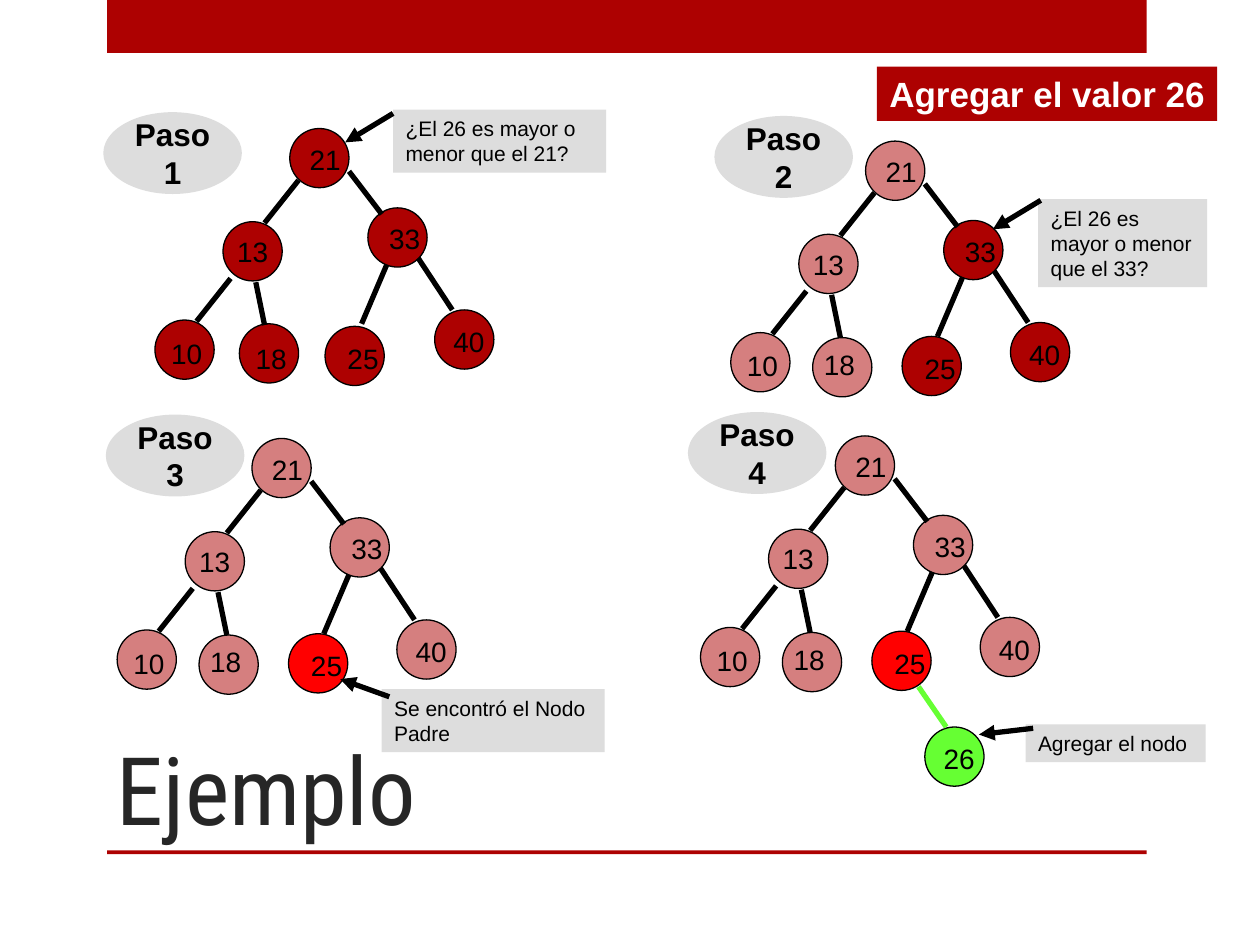
from lxml.etree import SubElement
from pptx import Presentation
from pptx.dml.color import RGBColor
from pptx.enum.shapes import MSO_CONNECTOR, MSO_SHAPE
from pptx.enum.text import MSO_ANCHOR, PP_ALIGN
from pptx.oxml.ns import qn
from pptx.util import Inches, Pt

RED, GRAY, BLACK, WHITE = "AD0101", "DDDDDD", "000000", "FFFFFF"
BRIGHT_RED, GREEN, DARK = "FF0000", "66FF33", "262626"
DIAMETER = 0.47
SOLID, FADED, FOUND, ADDED = (RED, None), (RED, 50), (BRIGHT_RED, None), (GREEN, None)

NODES = {
    "21": (0, 0),
    "13": (-0.53, 0.74),
    "33": (0.62, 0.63),
    "10": (-1.07, 1.52),
    "18": (-0.42, 1.56),
    "25": (0.29, 1.55),
    "40": (1.15, 1.44),
    "26": (0.71, 2.31),
}
LABELS = {
    "21": (0.06, 0.06, 0.47),
    "10": (0.03, 0.08, 0.54),
    "18": (-0.01, 0.03, 0.54),
    "25": (0.08, 0.07, 0.54),
    "40": (0.05, 0.07, 0.47),
    "33": (0.07, 0.06, 0.6),
    "26": (0.05, 0.07, 0.47),
}
EDGES = [
    ((0.07, 0.41), (-0.2, 0.75)),
    ((-0.47, 1.19), (-0.74, 1.53)),
    ((0.47, 0.34), (0.73, 0.68)),
    ((1.02, 1.03), (1.29, 1.44)),
    ((-0.27, 1.22), (-0.2, 1.56)),
    ((0.77, 1.08), (0.57, 1.55)),
]
NEW_EDGE = ((0.66, 1.99), (0.88, 2.31))

STEPS = [
    {
        "number": "1", "root": (2.3, 1.02), "badge": (0.82, 0.89),
        "default": SOLID, "special": {},
        "moved": {"18": (-0.4, 1.55), "25": (0.28, 1.57)},
        "labels": {"18": (0.03, 0.09, 0.54)},
        "note": ("¿El 26 es mayor o menor que el 21?", 3.12, 0.87, 1.69, 0.5),
        "arrow": ((3.12, 0.9), (2.74, 1.13)),
    },
    {
        "number": "2", "root": (6.87, 1.12), "badge": (5.67, 0.92),
        "default": FADED, "special": {"33": SOLID, "25": SOLID, "40": SOLID},
        "note": ("¿El 26 es mayor o menor que el 33?", 8.24, 1.58, 1.34, 0.7),
        "arrow": ((8.26, 1.59), (7.88, 1.82)),
    },
    {
        "number": "3", "root": (2, 3.48), "badge": (0.84, 3.29),
        "default": FADED, "special": {"25": FOUND},
        "note": ("Se encontró el Nodo Padre", 3.03, 5.47, 1.77, 0.5),
        "arrow": ((3.09, 5.53), (2.7, 5.39)),
    },
    {
        "number": "4", "root": (6.63, 3.46), "badge": (5.46, 3.27),
        "default": FADED, "special": {"25": FOUND, "26": ADDED},
        "note": ("Agregar el nodo", 8.14, 5.75, 1.43, 0.3),
        "arrow": ((8.2, 5.78), (7.77, 5.83)),
    },
]


def color(value):
    return RGBColor.from_string(value)


def shift(origin, offset):
    return origin[0] + offset[0], origin[1] + offset[1]


class TreeSlide:
    font_format = {"name": "Arial", "size": Pt(16), "bold": False}

    def __init__(self, slide):
        self.slide = slide

    def fill_text(self, shape, lines, ink=BLACK, align=PP_ALIGN.LEFT,
                  anchor=MSO_ANCHOR.TOP, wrap=True, **font_changes):
        frame = shape.text_frame
        frame.word_wrap = wrap
        frame.vertical_anchor = anchor
        frame.text = "\n".join(lines)
        for paragraph in frame.paragraphs:
            paragraph.alignment = align
            for name, value in {**self.font_format, **font_changes}.items():
                setattr(paragraph.font, name, value)
            paragraph.font.color.rgb = color(ink)

    def shape(self, kind, left, top, width, height, fill, alpha=None, outline=None):
        shape = self.slide.shapes.add_shape(
            kind, Inches(left), Inches(top), Inches(width), Inches(height))
        shape.shadow.inherit = False
        shape.fill.solid()
        shape.fill.fore_color.rgb = color(fill)
        if alpha:
            tint = shape._element.spPr.find(qn("a:solidFill"))[0]
            SubElement(tint, qn("a:alpha"), val=str(alpha * 1000))
        if outline:
            shape.line.color.rgb = color(outline)
            shape.line.width = Pt(0.75)
        else:
            shape.line.fill.background()
        return shape

    def text(self, content, left, top, width, height, **style):
        box = self.slide.shapes.add_textbox(
            Inches(left), Inches(top), Inches(width), Inches(height))
        self.fill_text(box, [content], **style)

    def line(self, start, end, stroke=BLACK, arrow=False):
        connector = self.slide.shapes.add_connector(
            MSO_CONNECTOR.STRAIGHT, *(Inches(value) for value in (*start, *end)))
        connector.line.color.rgb = color(stroke)
        connector.line.width = Pt(3)
        properties = connector._element.spPr
        if arrow:
            SubElement(properties.find(qn("a:ln")), qn("a:tailEnd"), type="triangle")
        SubElement(properties, qn("a:effectLst"))

    def node(self, value, position, fill, alpha):
        circle = self.shape(MSO_SHAPE.OVAL, *position, DIAMETER, DIAMETER,
                            fill, alpha, BLACK)
        if value not in LABELS:
            self.fill_text(circle, [value], align=PP_ALIGN.CENTER,
                           anchor=MSO_ANCHOR.MIDDLE, wrap=False)

    def badge(self, position, number):
        ellipse = self.shape(MSO_SHAPE.OVAL, *position, 1.1, 0.65, GRAY)
        self.fill_text(ellipse, ["Paso", number], align=PP_ALIGN.CENTER,
                       anchor=MSO_ANCHOR.MIDDLE, wrap=False, size=Pt(18), bold=True)

    def note(self, content, *bounds):
        box = self.shape(MSO_SHAPE.RECTANGLE, *bounds, GRAY)
        self.fill_text(box, [content], size=Pt(12))

    def step(self, number, root, badge, default, special, note, arrow,
             moved={}, labels={}):
        positions = {value: shift(root, offset)
                     for value, offset in {**NODES, **moved}.items()
                     if value != "26" or value in special}
        for value, position in positions.items():
            self.node(value, position, *special.get(value, default))
        for start, end in EDGES:
            self.line(shift(root, start), shift(root, end))
        if "26" in special:
            start, end = NEW_EDGE
            self.line(shift(root, start), shift(root, end), GREEN)
        for value, (across, down, width) in {**LABELS, **labels}.items():
            if value in positions:
                self.text(value, *shift(positions[value], (across, down)), width, 0.37)
        self.note(*note)
        self.line(*arrow, arrow=True)
        self.badge(badge, number)


def main():
    presentation = Presentation()
    presentation.slide_width = Inches(10)
    presentation.slide_height = Inches(7.5)
    tree_slide = TreeSlide(presentation.slides.add_slide(presentation.slide_layouts[6]))
    for top, height in ((0, 0.42), (6.75, 0.03)):
        tree_slide.shape(MSO_SHAPE.RECTANGLE, 0.85, top, 8.25, height, RED)
    tree_slide.text("Ejemplo", 0.83, 5, 7.42, 1.75, ink=DARK,
                    anchor=MSO_ANCHOR.BOTTOM, name="Roboto Condensed", size=Pt(54))
    heading = tree_slide.shape(MSO_SHAPE.RECTANGLE, 6.96, 0.53, 2.7, 0.43, RED)
    tree_slide.fill_text(heading, ["Agregar el valor 26"], ink=WHITE, wrap=False,
                         size=Pt(20), bold=True)
    for step in STEPS:
        tree_slide.step(**step)
    presentation.save("out.pptx")


if __name__ == "__main__":
    main()
